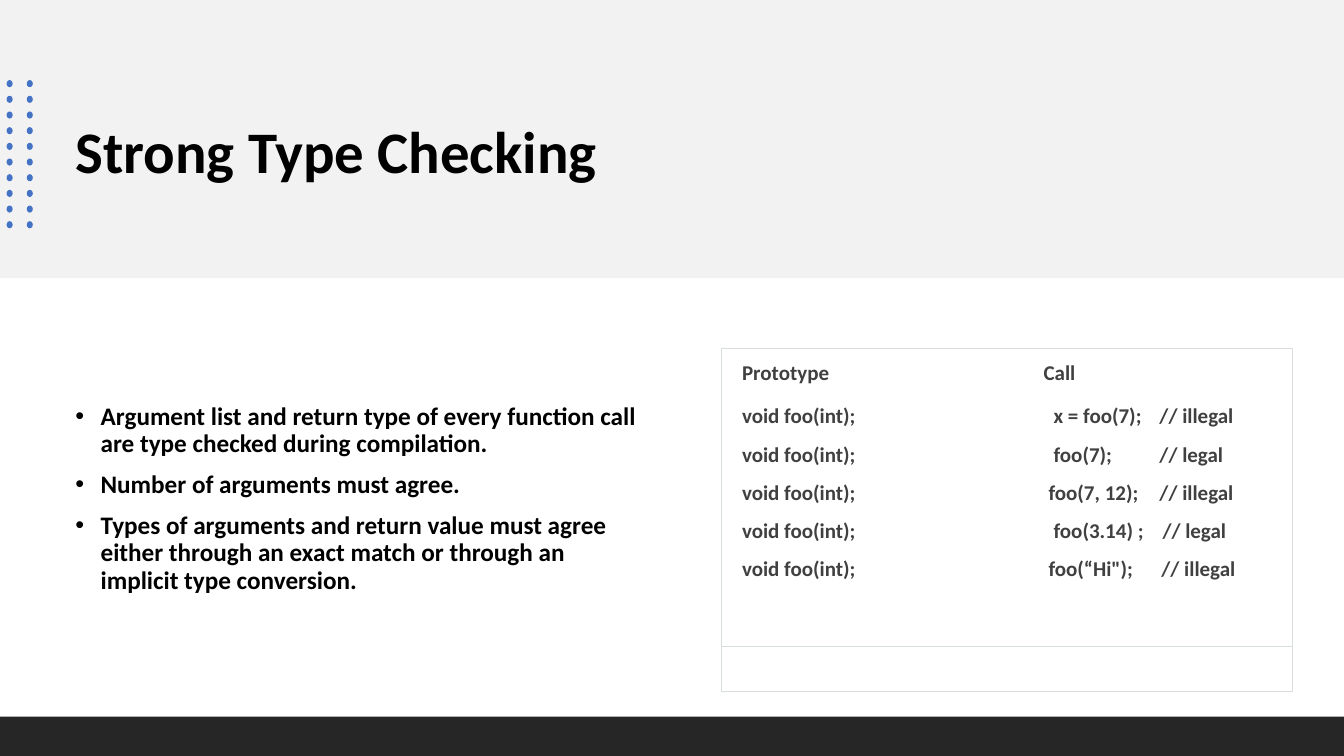
from dataclasses import dataclass

from lxml import etree
from pptx import Presentation
from pptx.dml.color import RGBColor
from pptx.enum import shapes, text
from pptx.oxml import ns
from pptx.util import Inches, Pt

FONT = "Calibri"
BLACK = "000000"
CODE_GRAY = "404040"
BORDER = "D8DEDC"
DOT_BLUE = "4472C4"


@dataclass
class Box:
    left: float
    top: float
    width: float
    height: float

    def lengths(self) -> list:
        return [Inches(n) for n in (self.left, self.top, self.width, self.height)]


@dataclass
class CodeLine:
    prototype: str
    call: str
    call_tab: float
    note: str = ""
    note_tab: float = 4.14
    space_after: int = 8

    def text(self) -> str:
        return "\t".join(part for part in (self.prototype, self.call, self.note) if part)


BULLETS = [
    "Argument list and return type of every function call are type checked during compilation.",
    "Number of arguments must agree.",
    "Types of arguments and return value must agree either through an exact match "
    "or through an implicit type conversion.",
]
PROTOTYPE = "void foo(int);"
CODE_LINES = [
    CodeLine("Prototype", "Call", 2.99, space_after=12),
    CodeLine(PROTOTYPE, "x = foo(7);", 3.09, "// illegal"),
    CodeLine(PROTOTYPE, "foo(7);", 3.09, "// legal"),
    CodeLine(PROTOTYPE, "foo(7, 12);", 3.04, "// illegal"),
    CodeLine(PROTOTYPE, "foo(3.14) ;", 3.09, "// legal", 4.17),
    CodeLine(PROTOTYPE, "foo(“Hi\");", 3.04, "// illegal", 4.16),
]


def color(value: str) -> RGBColor:
    return RGBColor.from_string(value)


def child(parent, tag: str, **attributes: str):
    return etree.SubElement(parent, ns.qn(tag), attributes)


def style(paragraph, size: float, value: str) -> None:
    font = paragraph.font
    font.name, font.size, font.bold = FONT, Pt(size), True
    font.color.rgb = color(value)


def add_filled(container, kind, box: Box, fill: str):
    shape = container.add_shape(kind, *box.lengths())
    shape.shadow.inherit = False
    shape.fill.solid()
    shape.fill.fore_color.rgb = color(fill)
    shape.line.fill.background()
    return shape


def add_dots(slide) -> None:
    group = slide.shapes.add_group_shape()
    for row in range(10):
        for left in (0.06, 0.26):
            box = Box(left, 0.8 + row * 1.4 / 9, 0.07, 0.06)
            dot = add_filled(group.shapes, shapes.MSO_SHAPE.OVAL, box, DOT_BLUE)
            dot.rotation = 90


def add_frame(slide, box: Box):
    frame = slide.shapes.add_textbox(*box.lengths()).text_frame
    frame.word_wrap = True
    frame.vertical_anchor = text.MSO_ANCHOR.MIDDLE
    return frame


def add_title(slide) -> None:
    paragraph = add_frame(slide, Box(0.65, 0.71, 5.76, 1.64)).paragraphs[0]
    paragraph.text = "Strong Type Checking"
    paragraph.line_spacing = 0.9
    style(paragraph, 42, BLACK)


def add_bullets(slide) -> None:
    frame = add_frame(slide, Box(0.65, 3.1, 5.76, 3.7))
    for index, line in enumerate(BULLETS):
        paragraph = frame.add_paragraph() if index else frame.paragraphs[0]
        paragraph.text = line
        paragraph.line_spacing = 0.9
        paragraph.space_before = Pt(10 if index else 0)
        properties = paragraph._p.get_or_add_pPr()
        properties.set("marL", str(Inches(0.25)))
        properties.set("indent", str(Inches(-0.25)))
        child(properties, "a:buFont", typeface="Arial")
        child(properties, "a:buChar", char="•")
        style(paragraph, 18, BLACK)


def add_borders(cell) -> None:
    properties = cell._tc.get_or_add_tcPr()
    for tag in ("a:lnL", "a:lnR", "a:lnT", "a:lnB"):
        line = child(properties, tag, w=str(Pt(0.75)))
        child(child(line, "a:solidFill"), "a:srgbClr", val=BORDER)
    cell.fill.background()


def add_code_table(slide) -> None:
    box = Box(7.16, 3.46, 5.66, 3.4)
    table = slide.shapes.add_table(2, 1, *box.lengths()).table
    table.first_row = table.horz_banding = False
    for row, height in zip(table.rows, (2.95, 0.45)):
        row.height = Inches(height)
        add_borders(row.cells[0])
    cell = table.cell(0, 0)
    cell.margin_left, cell.margin_right = Inches(0.2), Inches(0.12)
    cell.margin_top = cell.margin_bottom = Inches(0.1)
    frame = cell.text_frame
    for index, line in enumerate(CODE_LINES):
        paragraph = frame.add_paragraph() if index else frame.paragraphs[0]
        paragraph.text = line.text()
        paragraph.alignment = text.PP_ALIGN.JUSTIFY
        paragraph.line_spacing = 1.05
        paragraph.space_after = Pt(line.space_after)
        tabs = child(paragraph._p.get_or_add_pPr(), "a:tabLst")
        for position in (line.call_tab, line.note_tab):
            child(tabs, "a:tab", pos=str(Inches(position)), algn="l")
        style(paragraph, 15, CODE_GRAY)


def main() -> None:
    presentation = Presentation()
    presentation.slide_width = Inches(13.33)
    presentation.slide_height = Inches(7.5)
    slide = presentation.slides.add_slide(presentation.slide_layouts[6])
    rectangle = shapes.MSO_SHAPE.RECTANGLE
    add_filled(slide.shapes, rectangle, Box(0, 0, 13.33, 2.76), "F2F2F2")
    add_title(slide)
    add_dots(slide)
    add_bullets(slide)
    add_filled(slide.shapes, rectangle, Box(0, 7.11, 13.33, 0.39), "262626")
    add_code_table(slide)
    presentation.save("out.pptx")


if __name__ == "__main__":
    main()
